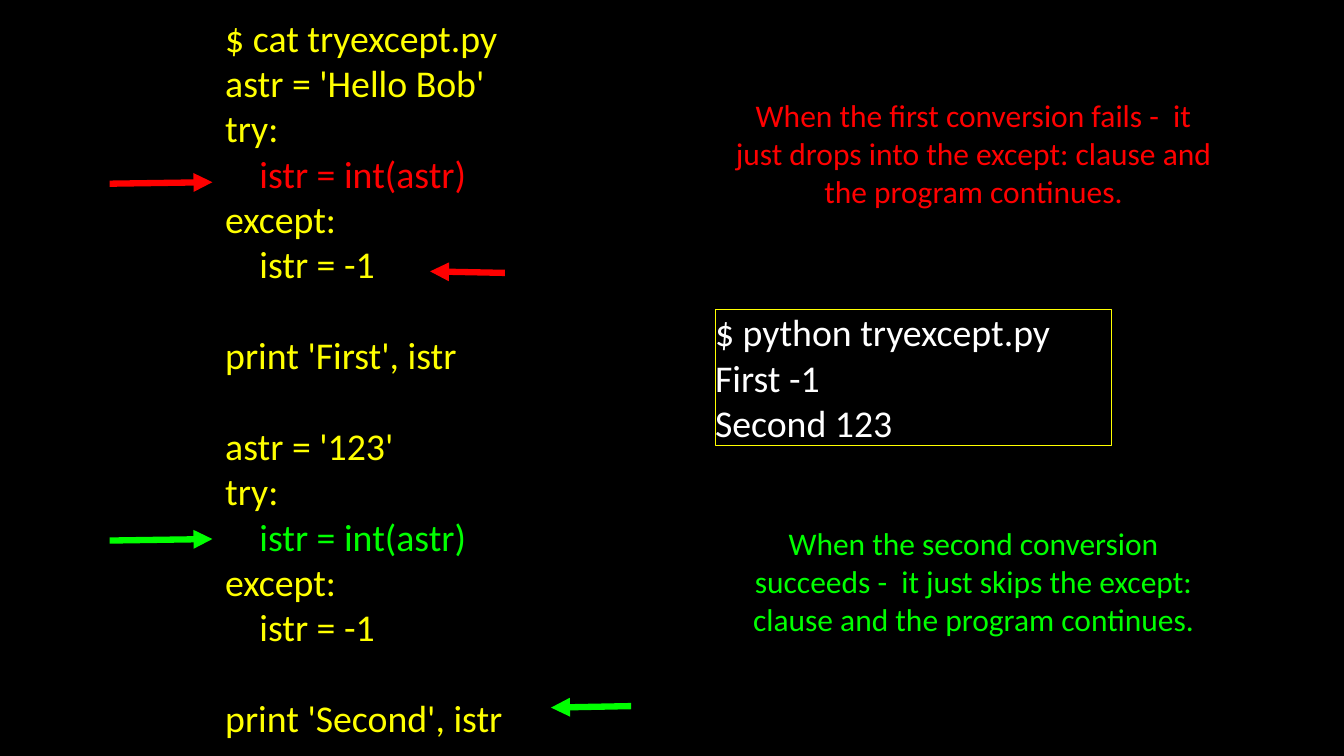
from dataclasses import dataclass

from lxml.etree import SubElement
from pptx import Presentation
from pptx.dml.color import RGBColor
from pptx.enum.shapes import MSO_CONNECTOR, MSO_SHAPE
from pptx.enum.text import MSO_ANCHOR, MSO_AUTO_SIZE, PP_ALIGN
from pptx.oxml.ns import qn
from pptx.util import Inches, Pt

YELLOW, RED, GREEN, WHITE, BLACK = "FFFF00", "FF0000", "00FF00", "FFFFFF", "000000"
BLANK_LINE = 43.2


@dataclass(frozen=True)
class Line:
    text: str
    color: str
    gap_before: float = 0


@dataclass(frozen=True)
class Panel:
    box: tuple[float, float, float, float]
    lines: list[Line]
    size: int
    align: PP_ALIGN = PP_ALIGN.LEFT
    wrap: bool = False
    border: str | None = None


@dataclass(frozen=True)
class Arrow:
    tip: tuple[float, float]
    tail: tuple[float, float]
    color: str


def paint(color_format, color: str) -> None:
    color_format.rgb = RGBColor.from_string(color)


def apply_format(target, values: dict) -> None:
    for name, value in values.items():
        setattr(target, name, value)


def conversion_block(value: str, label: str, color: str, gap: float = 0) -> list[Line]:
    return [
        Line(f"astr = '{value}'", YELLOW, gap),
        Line("try:", YELLOW),
        Line("    istr = int(astr)", color),
        Line("except:", YELLOW),
        Line("    istr = -1", YELLOW),
        Line(f"print '{label}', istr", YELLOW, BLANK_LINE),
    ]


def draw_panel(slide, panel: Panel) -> None:
    box = [Inches(length) for length in panel.box]
    if panel.border:
        shape = slide.shapes.add_shape(MSO_SHAPE.RECTANGLE, *box)
        shape.shadow.inherit = False
        shape.fill.background()
        paint(shape.line.color, panel.border)
        shape.line.width = Pt(1)
    else:
        shape = slide.shapes.add_textbox(*box)
    frame = shape.text_frame
    apply_format(frame, {
        "margin_left": 0,
        "margin_top": 0,
        "margin_right": 0,
        "margin_bottom": 0,
        "vertical_anchor": MSO_ANCHOR.MIDDLE,
        "word_wrap": panel.wrap,
        "auto_size": MSO_AUTO_SIZE.NONE if panel.wrap else MSO_AUTO_SIZE.SHAPE_TO_FIT_TEXT,
    })
    for index, line in enumerate(panel.lines):
        paragraph = frame.paragraphs[0] if index == 0 else frame.add_paragraph()
        apply_format(paragraph, {"alignment": panel.align, "space_before": Pt(line.gap_before)})
        run = paragraph.add_run()
        run.text = line.text
        apply_format(run.font, {"name": "Calibri", "size": Pt(panel.size)})
        paint(run.font.color, line.color)


def draw_arrow(slide, arrow: Arrow) -> None:
    ends = [Inches(length) for length in arrow.tip + arrow.tail]
    connector = slide.shapes.add_connector(MSO_CONNECTOR.STRAIGHT, *ends)
    paint(connector.line.color, arrow.color)
    connector.line.width = Pt(6)
    SubElement(connector.line._get_or_add_ln(), qn("a:headEnd"), type="triangle")
    SubElement(connector._element.spPr, qn("a:effectLst"))


def note(top: float, text: str, color: str) -> Panel:
    return Panel((9.66, top, 6.44, 1.57), [Line(text, color)], 30, PP_ALIGN.CENTER, wrap=True)


PANELS = [
    Panel(
        (2.98, 0.19, 4.27, 9.6),
        [
            Line("$ cat tryexcept.py", YELLOW),
            *conversion_block("Hello Bob", "First", RED),
            *conversion_block("123", "Second", GREEN, BLANK_LINE),
        ],
        36,
    ),
    Panel(
        (9.46, 4.09, 5.24, 1.8),
        [Line(text, WHITE) for text in ("$ python tryexcept.py", "First -1", "Second 123")],
        36,
        border=YELLOW,
    ),
    note(1.24, "When the first conversion fails -  it just drops into the except: "
               "clause and the program continues.", RED),
    note(6.9, "When the second conversion succeeds -  it just skips the except: "
              "clause and the program continues.", GREEN),
]

ARROWS = [
    Arrow((2.81, 2.41), (1.45, 2.43), RED),
    Arrow((5.69, 3.59), (6.68, 3.61), RED),
    Arrow((2.81, 7.13), (1.45, 7.15), GREEN),
    Arrow((7.29, 9.36), (8.35, 9.34), GREEN),
]


def main() -> None:
    deck = Presentation()
    apply_format(deck, {"slide_width": Inches(17.78), "slide_height": Inches(10)})
    slide = deck.slides.add_slide(deck.slide_layouts[6])
    backdrop = slide.background.fill
    backdrop.solid()
    paint(backdrop.fore_color, BLACK)
    for panel in PANELS:
        draw_panel(slide, panel)
    for arrow in ARROWS:
        draw_arrow(slide, arrow)
    deck.save("out.pptx")


if __name__ == "__main__":
    main()
